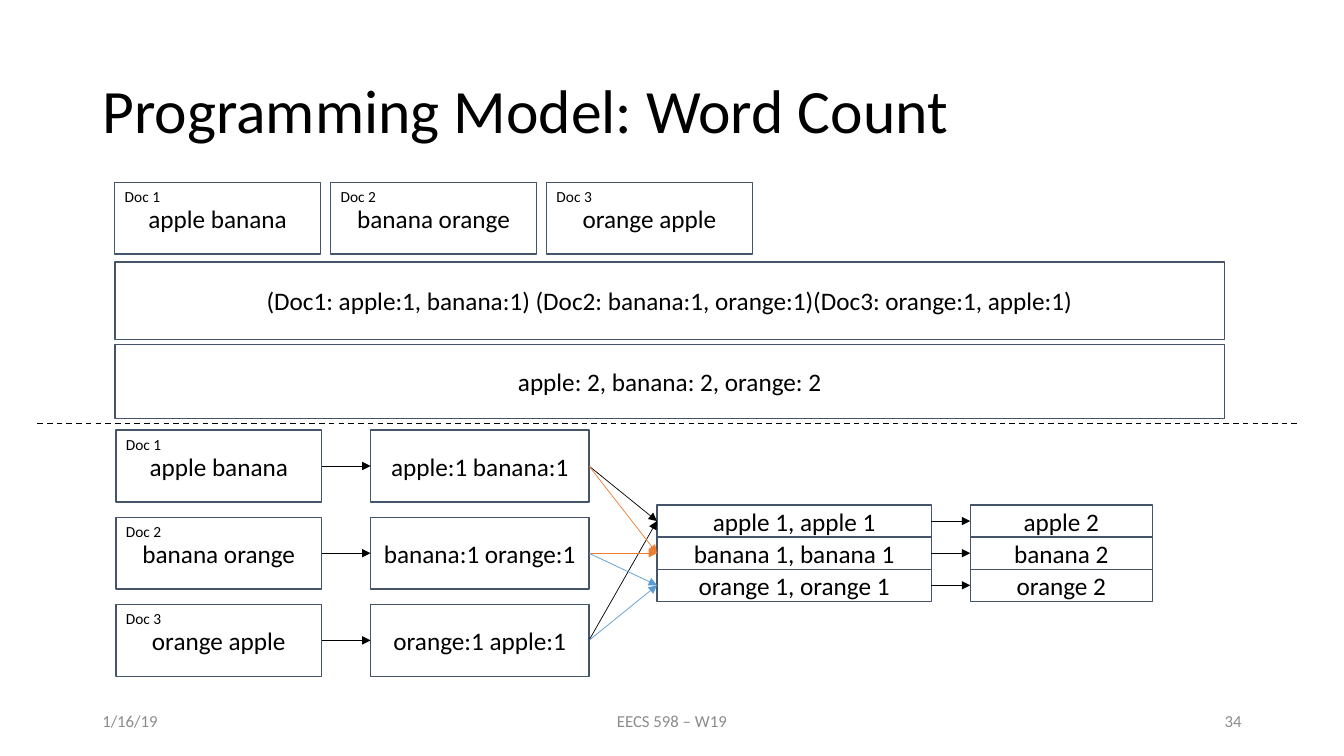
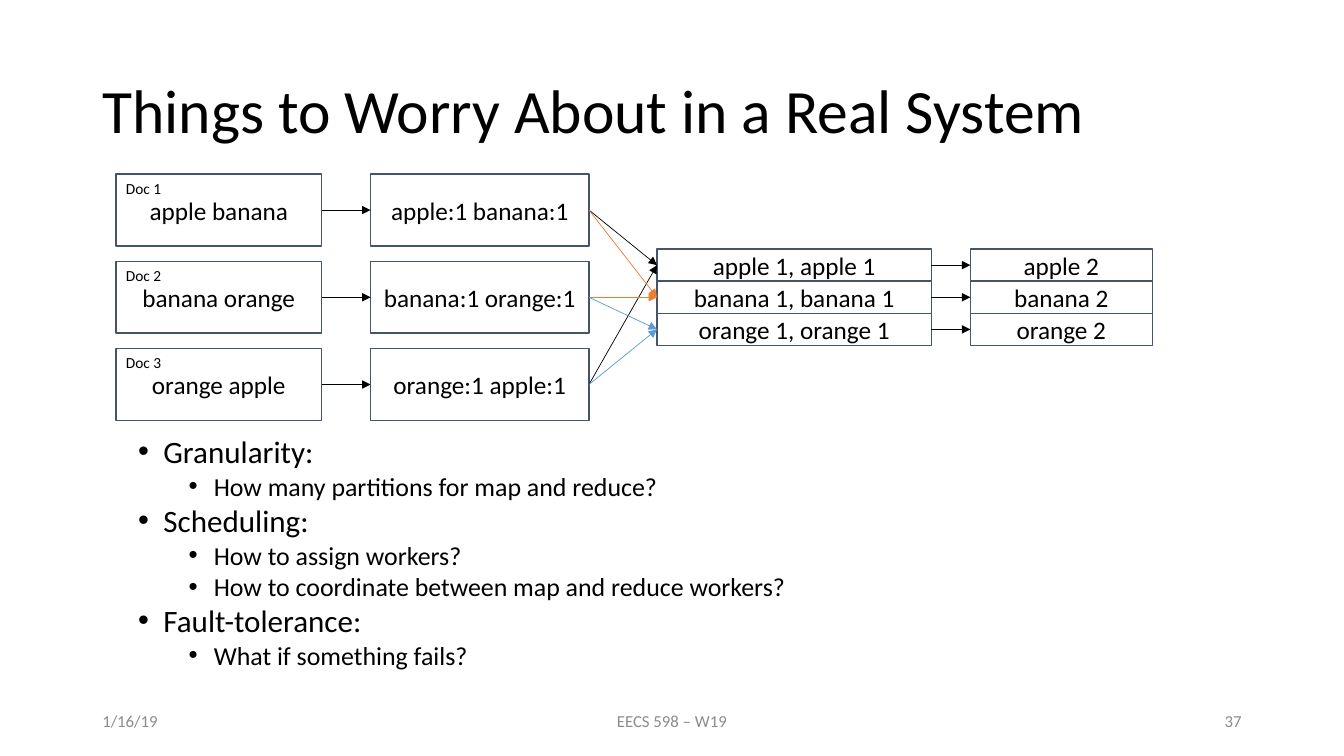
from dataclasses import dataclass

import pptx
import pptx.dml.color
import pptx.enum.dml
import pptx.enum.shapes
import pptx.enum.text
import pptx.oxml.ns
import pptx.shapes.autoshape
import pptx.shapes.connector
import pptx.slide
import pptx.text.text
import pptx.util
from lxml import etree

Pt = pptx.util.Pt
RGB = pptx.dml.color.RGBColor
Align = pptx.enum.text.PP_ALIGN
Anchor = pptx.enum.text.MSO_ANCHOR
Slide = pptx.slide.Slide
Shape = pptx.shapes.autoshape.Shape
Line = pptx.shapes.connector.Connector
Para = pptx.text.text._Paragraph
qn = pptx.oxml.ns.qn

BLACK = RGB(0x00, 0x00, 0x00)
GREY = RGB(0x8C, 0x8C, 0x8C)
SLATE = RGB(0x44, 0x54, 0x6A)
ORANGE = RGB(0xED, 0x7D, 0x31)
BLUE = RGB(0x5B, 0x9B, 0xD5)
FONT = "Calibri"

LEFT = 82
DOC_W, DOC_H = 147, 51.3
ROW_STEP = 62.3
CELL_H = 22.95


@dataclass(frozen=True)
class Rect:
    x: float
    y: float
    w: float
    h: float

    def size(self) -> tuple[int, int, int, int]:
        return Pt(self.x), Pt(self.y), Pt(self.w), Pt(self.h)


@dataclass(frozen=True)
class Link:
    """Arrow from a mapped document to a reduce cell, both by row."""
    start: int
    end: int
    color: RGB


@dataclass(frozen=True)
class Point:
    text: str
    level: int = 0


TITLE = Rect(66, 28.8, 828, 104.4)
BODY = Rect(55.5, 319, 828, 155)
DATE = Rect(66, 500.4, 216, 28.8)
COURSE = Rect(318, 500.4, 324, 28.8)
NUMBER = Rect(678, 500.4, 216, 28.8)

DOCS = ("apple banana", "banana orange", "orange apple")
MAPPED = ("apple:1 banana:1", "banana:1 orange:1", "orange:1 apple:1")
GROUPED = ("apple 1, apple 1", "banana 1, banana 1", "orange 1, orange 1")
COUNTS = ("apple 2", "banana 2", "orange 2")
LINKS = (
    Link(0, 0, BLACK), Link(2, 0, BLACK),
    Link(1, 1, ORANGE), Link(0, 1, ORANGE),
    Link(1, 2, BLUE), Link(2, 2, BLUE),
)
BANDS = (
    (Rect(LEFT, 187.2, 792.7, 55.4),
     "(Doc1: apple:1, banana:1) (Doc2: banana:1, orange:1)"
     "(Doc3: orange:1, apple:1)"),
    (Rect(LEFT, 246.2, 792.7, 52.6), "apple: 2, banana: 2, orange: 2"),
)
POINTS = (
    Point("Granularity:"),
    Point("How many partitions for map and reduce?", 1),
    Point("Scheduling:"),
    Point("How to assign workers?", 1),
    Point("How to coordinate between map and reduce workers?", 1),
    Point("Fault-tolerance:"),
    Point("What if something fails?", 1),
)


def set_font(para: Para, size: float, color: RGB = BLACK) -> None:
    para.font.name = FONT
    para.font.size = Pt(size)
    para.font.color.rgb = color


def place(shape: Shape, rect: Rect) -> None:
    shape.left, shape.top, shape.width, shape.height = rect.size()


def add_label(slide: Slide, rect: Rect, text: str, size: float,
              color: RGB = BLACK, align: Align = Align.LEFT,
              anchor: Anchor = Anchor.TOP) -> None:
    frame = slide.shapes.add_textbox(*rect.size()).text_frame
    frame.word_wrap = True
    frame.vertical_anchor = anchor
    para = frame.paragraphs[0]
    para.text = text
    para.alignment = align
    set_font(para, size, color)


def add_box(slide: Slide, rect: Rect, text: str) -> Shape:
    box = slide.shapes.add_shape(
        pptx.enum.shapes.MSO_SHAPE.RECTANGLE, *rect.size())
    box.shadow.inherit = False
    box.fill.background()
    box.line.color.rgb = SLATE
    box.line.width = Pt(1)
    frame = box.text_frame
    frame.word_wrap = True
    frame.vertical_anchor = Anchor.MIDDLE
    para = frame.paragraphs[0]
    para.text = text
    para.alignment = Align.CENTER
    set_font(para, 18)
    return box


def add_doc(slide: Slide, x: float, y: float, row: int) -> Shape:
    box = add_box(slide, Rect(x, y, DOC_W, DOC_H), DOCS[row])
    add_label(slide, Rect(x, y, 64, 21), f"Doc {row + 1}", 11)
    return box


def add_line(slide: Slide, x1: float, y1: float, x2: float, y2: float,
             width: float, color: RGB = BLACK) -> Line:
    line = slide.shapes.add_connector(
        pptx.enum.shapes.MSO_CONNECTOR.STRAIGHT,
        Pt(x1), Pt(y1), Pt(x2), Pt(y2))
    line.line.color.rgb = color
    line.line.width = Pt(width)
    etree.SubElement(line._element.spPr, qn("a:effectLst"))
    return line


def add_arrow(slide: Slide, start: Shape, end: Shape,
              color: RGB = BLACK) -> None:
    """Join the right side of one box to the left side of another."""
    arrow = add_line(slide, 0, 0, 0, 0, 0.5, color)
    arrow.begin_connect(start, 3)
    arrow.end_connect(end, 1)
    etree.SubElement(arrow.line._get_or_add_ln(), qn("a:tailEnd"),
                     type="triangle")


def add_cells(slide: Slide, x: float, mid: float, width: float,
              texts: tuple[str, ...]) -> list[Shape]:
    """Stack touching cells, centred on the height mid."""
    top = mid - len(texts) * CELL_H / 2
    return [add_box(slide, Rect(x, top + row * CELL_H, width, CELL_H), text)
            for row, text in enumerate(texts)]


def add_flow(slide: Slide, top: float) -> None:
    """Draw the map and reduce diagram."""
    tops = [top + row * ROW_STEP for row in range(len(DOCS))]
    docs = [add_doc(slide, 82.8, y, row) for row, y in enumerate(tops)]
    maps = [add_box(slide, Rect(264.7, y, 156, DOC_H), text)
            for y, text in zip(tops, MAPPED)]
    mid = tops[1] + DOC_H / 2
    groups = add_cells(slide, 469.3, mid, 196, GROUPED)
    counts = add_cells(slide, 693.1, mid, 130, COUNTS)
    for start, end in [*zip(docs, maps), *zip(groups, counts)]:
        add_arrow(slide, start, end)
    for link in LINKS:
        add_arrow(slide, maps[link.start], groups[link.end], link.color)


def add_points(slide: Slide) -> None:
    body = slide.placeholders[1]
    place(body, BODY)
    frame = body.text_frame
    frame.word_wrap = True
    frame.auto_size = pptx.enum.text.MSO_AUTO_SIZE.NONE
    frame.vertical_anchor = Anchor.MIDDLE
    for i, point in enumerate(POINTS):
        para = frame.add_paragraph() if i else frame.paragraphs[0]
        para.text = point.text
        para.level = point.level
        para.line_spacing = 0.8
        para.space_before = Pt(5 if i else 0)
        props = para._p.get_or_add_pPr()
        props.set("marL", str(Pt(54 + 36 * point.level)))
        props.set("indent", str(Pt(-18)))
        etree.SubElement(props, qn("a:buFont"), typeface="Arial")
        etree.SubElement(props, qn("a:buChar"), char="•")
        set_font(para, 18.5 if point.level else 22.2)


def add_slide(deck: pptx.presentation.Presentation, layout: str, title: str,
              number: int) -> Slide:
    """Start a slide with its title and footer."""
    slide = deck.slides.add_slide(deck.slide_layouts.get_by_name(layout))
    head = slide.shapes.title
    place(head, TITLE)
    head.text_frame.vertical_anchor = Anchor.MIDDLE
    head.text_frame.word_wrap = True
    para = head.text_frame.paragraphs[0]
    para.text = title
    para.alignment = Align.LEFT
    para.line_spacing = 0.9
    set_font(para, 44)
    for rect, text, align in (
        (DATE, "1/16/19", Align.LEFT),
        (COURSE, "EECS 598 – W19", Align.CENTER),
        (NUMBER, str(number), Align.RIGHT),
    ):
        add_label(slide, rect, text, 12, GREY, align, Anchor.MIDDLE)
    return slide


def add_count(deck: pptx.presentation.Presentation) -> None:
    slide = add_slide(deck, "Title Only", "Programming Model: Word Count", 34)
    for row in range(len(DOCS)):
        add_doc(slide, LEFT + row * 154.2, 130.3, row)
    for rect, text in BANDS:
        add_box(slide, rect, text)
    split = add_line(slide, 26.6, 302.4, 928, 302.4, 1)
    split.line.dash_style = pptx.enum.dml.MSO_LINE.DASH
    add_flow(slide, 307.2)


def add_issues(deck: pptx.presentation.Presentation) -> None:
    slide = add_slide(deck, "Title and Content",
                      "Things to Worry About in a Real System", 37)
    add_flow(slide, 124.4)
    add_points(slide)


def main() -> None:
    deck = pptx.Presentation()
    deck.slide_width, deck.slide_height = Pt(960), Pt(540)
    add_count(deck)
    add_issues(deck)
    deck.save("out.pptx")


if __name__ == "__main__":
    main()
